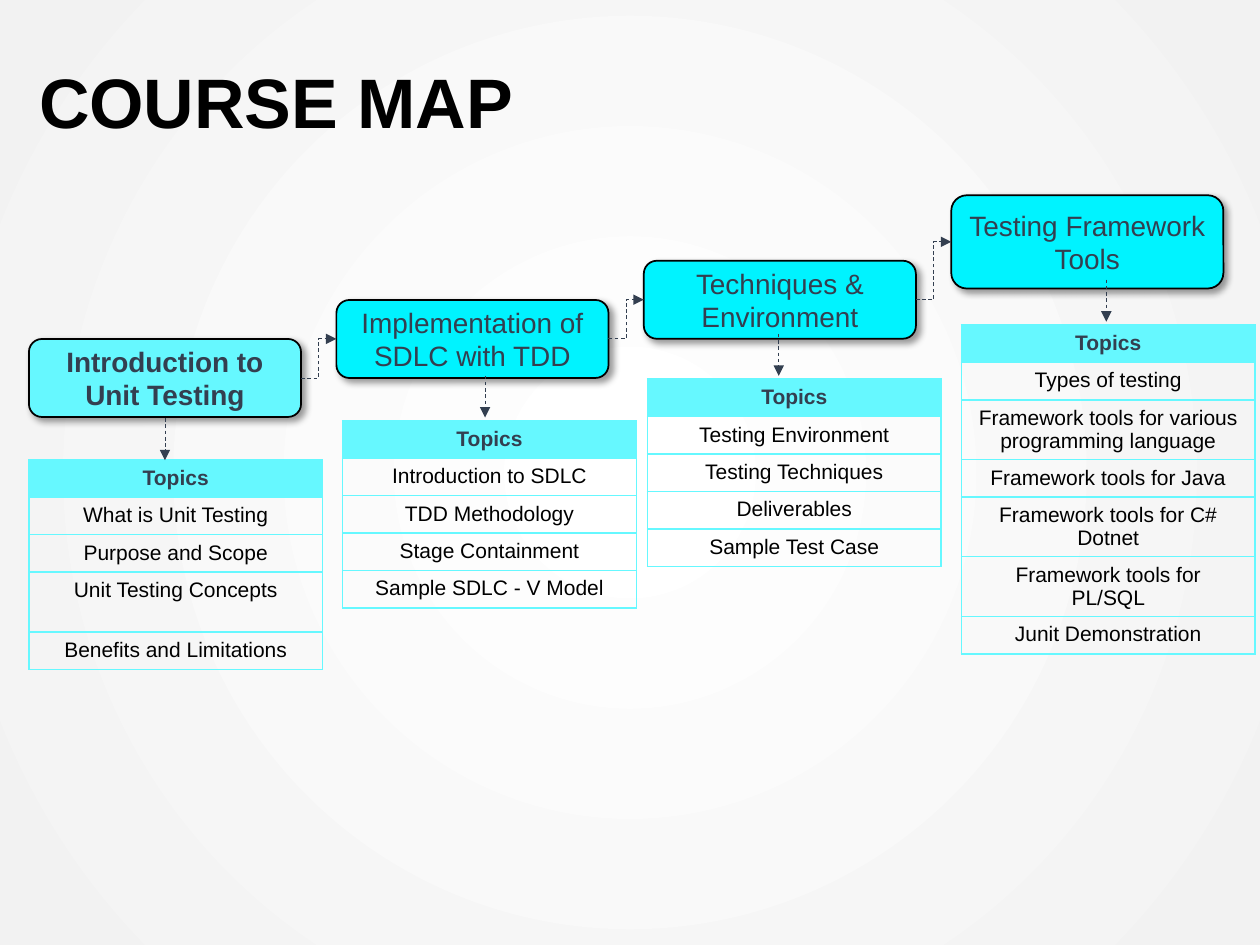
from pptx import Presentation
from pptx.dml.color import RGBColor
from pptx.enum.dml import MSO_LINE
from pptx.enum.shapes import MSO_CONNECTOR, MSO_SHAPE
from pptx.enum.text import MSO_ANCHOR, MSO_AUTO_SIZE, PP_ALIGN
from pptx.oxml import parse_xml
from pptx.oxml.ns import nsdecls, qn
from pptx.util import Pt

ROUND = MSO_SHAPE.ROUNDED_RECTANGLE
STRAIGHT, ELBOW = MSO_CONNECTOR.STRAIGHT, MSO_CONNECTOR.ELBOW
DASH = MSO_LINE.DASH
LEFT, CENTER = PP_ALIGN.LEFT, PP_ALIGN.CENTER
MIDDLE, BOTTOM = MSO_ANCHOR.MIDDLE, MSO_ANCHOR.BOTTOM
NO_FIT = MSO_AUTO_SIZE.NONE

FONT = "Arial"
BLACK, SLATE, CYAN, PALE = "000000", "333F50", "00F3FF", "66F8FF"
BOX_X, BOX_STEP, BOX_W = 16.56, 175.68, 155.5
TABLE_W, ROW_H, TALL_H = 167.8, 21.4, 34.3
ARROW_H = 24
LEFT_SIDE, RIGHT_SIDE = 1, 3

# name, box top and height, arrow start, table corner, topics
UNITS = [
    ("Introduction to Unit Testing", 193.7, 44.6, (94.3, 239), (16.56, 262.8),
     ["What is Unit Testing", "Purpose and Scope", "Unit Testing Concepts",
      "Benefits and Limitations"]),
    ("Implementation of SDLC with TDD", 171.4, 44.6, (277.2, 214.6), (195.84, 240.5),
     ["Introduction to SDLC", "TDD Methodology", "Stage Containment",
      "Sample SDLC - V Model"]),
    ("Techniques & Environment", 149, 44.6, (445, 190.8), (370, 216.7),
     ["Testing Environment", "Testing Techniques", "Deliverables",
      "Sample Test Case"]),
    ("Testing Framework Tools", 111.6, 53.3, (632.2, 159.8), (549.4, 185.8),
     ["Types of testing", "Framework tools for various programming language",
      "Framework tools for Java", "Framework tools for C# Dotnet",
      "Framework tools for\vPL/SQL", "Junit Demonstration"]),
]
TALL = {"Unit Testing Concepts"}


def rgb(code):
    return RGBColor.from_string(code)


def write(frame, text, size, color, bold=False, align=CENTER):
    frame.text = text
    para = frame.paragraphs[0]
    para.alignment = align
    for run in para.runs:
        font = run.font
        font.name, font.size, font.bold = FONT, Pt(size), bold
        font.color.rgb = rgb(color)
    return para


def paint_back(slide):
    """Fill the slide with a soft gradient that runs out from the centre."""
    fill = slide.background.fill
    fill.gradient()
    for stop, (spot, code) in zip(fill.gradient_stops, [(0.02, "FFFFFF"), (1, "F2F2F2")]):
        stop.position = spot
        stop.color.rgb = rgb(code)
    line = next(slide.element.iter(qn("a:lin")))
    line.getparent().replace(line, parse_xml(
        f'<a:path {nsdecls("a")} path="circle">'
        '<a:fillToRect l="50000" t="50000" r="50000" b="50000"/></a:path>'))


def add_title(slide, text):
    title = slide.shapes.title
    title.left, title.top, title.width, title.height = Pt(22.3), Pt(0), Pt(675.4), Pt(80)
    frame = title.text_frame
    frame.margin_left = frame.margin_right = frame.margin_bottom = 0
    frame.margin_top = Pt(3.6)
    frame.vertical_anchor = BOTTOM
    frame.auto_size = NO_FIT
    write(frame, text, 40, BLACK, True, LEFT).line_spacing = 0.7


def add_box(slide, text, x, y, high, first):
    box = slide.shapes.add_shape(ROUND, Pt(x), Pt(y), Pt(BOX_W), Pt(high))
    box.fill.solid()
    box.fill.fore_color.rgb = rgb(PALE if first else CYAN)
    box.line.color.rgb = rgb(BLACK)
    box.line.width = Pt(1)
    box.shadow.inherit = False
    box.element.spPr.find(qn("a:effectLst")).append(parse_xml(
        f'<a:outerShdw {nsdecls("a")} blurRad="{Pt(4)}" dist="{Pt(3)}" dir="2700000"'
        ' algn="tl" rotWithShape="0"><a:srgbClr val="000000"><a:alpha val="40000"/>'
        '</a:srgbClr></a:outerShdw>'))
    box.text_frame.word_wrap = True
    box.text_frame.vertical_anchor = MIDDLE
    write(box.text_frame, text, 16, SLATE, first)
    return box


def add_arrow(slide, kind, x1=0, y1=0, x2=0, y2=0):
    arrow = slide.shapes.add_connector(kind, Pt(x1), Pt(y1), Pt(x2), Pt(y2))
    arrow.line.color.rgb = rgb(SLATE)
    arrow.line.width = Pt(0.5)
    arrow.line.dash_style = DASH
    props = arrow.element.spPr
    props.find(qn("a:ln")).append(parse_xml(f'<a:tailEnd {nsdecls("a")} type="triangle"/>'))
    props.append(parse_xml(f'<a:effectLst {nsdecls("a")}/>'))
    return arrow


def add_edges(cell):
    props = cell._tc.get_or_add_tcPr()
    for side in "LRTB":
        props.append(parse_xml(
            f'<a:ln{side} {nsdecls("a")} w="{Pt(1)}"><a:solidFill>'
            f'<a:srgbClr val="{PALE}"/></a:solidFill></a:ln{side}>'))


def add_topics(slide, x, y, topics):
    rows = ["Topics"] + topics
    table = slide.shapes.add_table(
        len(rows), 1, Pt(x), Pt(y), Pt(TABLE_W), Pt(ROW_H * len(rows))).table
    table.horz_banding = False
    for i, text in enumerate(rows):
        head = i == 0
        table.rows[i].height = Pt(TALL_H if text in TALL else ROW_H)
        cell = table.cell(i, 0)
        add_edges(cell)
        if head:
            cell.fill.solid()
            cell.fill.fore_color.rgb = rgb(PALE)
        else:
            cell.fill.background()
        write(cell.text_frame, text, 12, SLATE if head else BLACK, head)


def main():
    deck = Presentation()
    deck.slide_width, deck.slide_height = Pt(720), Pt(540)
    slide = deck.slides.add_slide(deck.slide_layouts[5])
    paint_back(slide)
    add_title(slide, "COURSE MAP")

    last = None
    for i, (name, top, high, start, corner, topics) in enumerate(UNITS):
        box = add_box(slide, name, BOX_X + i * BOX_STEP, top, high, i == 0)
        if last:
            link = add_arrow(slide, ELBOW)
            link.begin_connect(last, RIGHT_SIDE)
            link.end_connect(box, LEFT_SIDE)
        last = box
        add_topics(slide, *corner, topics)
        x, y = start
        add_arrow(slide, STRAIGHT, x, y, x, y + ARROW_H)
    deck.save("out.pptx")


if __name__ == "__main__":
    main()
